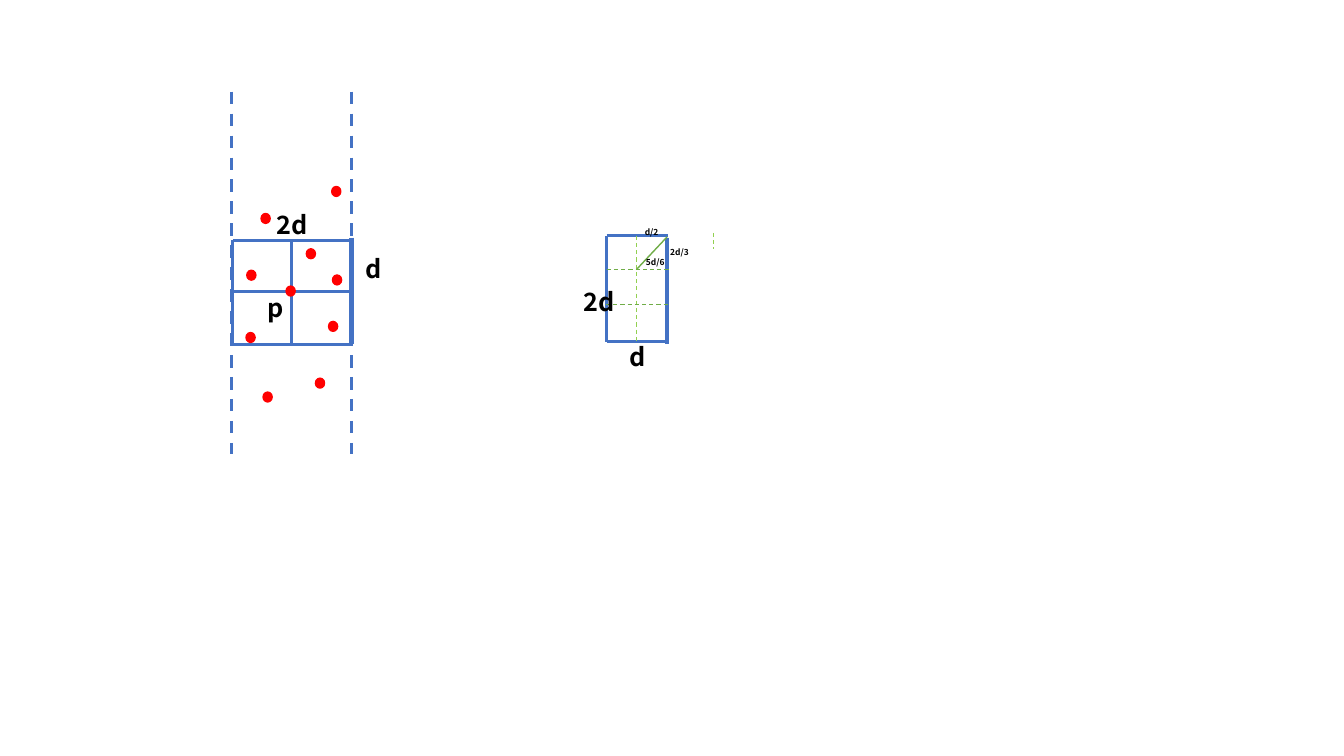
from lxml import etree
from pptx import Presentation
from pptx.dml.color import RGBColor
from pptx.enum.dml import MSO_LINE
from pptx.enum.shapes import MSO_CONNECTOR, MSO_SHAPE
from pptx.enum.text import MSO_AUTO_SIZE
from pptx.oxml.ns import qn
from pptx.util import Cm, Pt

STRAIGHT = MSO_CONNECTOR.STRAIGHT
DOT = MSO_SHAPE.FLOWCHART_CONNECTOR
DASH = MSO_LINE.DASH
GROW = MSO_AUTO_SIZE.SHAPE_TO_FIT_TEXT

BLUE, RED, BLACK = "4472C4", "FF0000", "000000"
LIME, GREEN = "92D050", "70AD47"

STRIP_XS, STRIP_TOP, STRIP_BOTTOM = (5.84, 8.86), 2.31, 11.43
GRID_XS, GRID_YS = (5.87, 7.34), (6.05, 7.34, 8.69)
GRID_RIGHT, HALF_WIDTH = 8.86, 1.52
BOX_LEFT, BOX_MID, BOX_RIGHT = 15.29, 16.05, 16.81
BOX_TOP, BOX_BOTTOM = 5.94, 8.61
RIGHT_TOP, RIGHT_BOTTOM = 5.99, 8.66

DOTS = [
    (7.21, 7.21), (7.72, 6.27), (8.38, 6.93), (6.22, 6.81), (8.28, 8.1),
    (6.2, 8.38), (6.58, 5.38), (8.36, 4.7), (7.95, 9.53), (6.63, 9.88),
]
LABELS = [
    ("d", 15.62, 8.48, 0.76, 1.02, 18, True),
    ("d", 8.97, 6.25, 1.7, 1.02, 18, True),
    ("p", 6.5, 7.24, 0.76, 1.02, 18, True),
    ("d/2", 16, 5.59, 0.86, 0.51, 6, False),
    ("2d/3", 16.64, 6.1, 0.97, 0.51, 6, False),
    ("5d/6", 16.03, 6.35, 0.97, 0.51, 6, True),
    ("2d", 14.45, 7.09, 1.7, 1.02, 18, True),
    ("2d", 6.73, 5.16, 1.7, 1.02, 18, True),
]


def rgb(value):
    """Return the colour for a hex string."""
    return RGBColor.from_string(value)


def apply_format(target, values):
    """Set each attribute in values on target."""
    for name, value in values.items():
        setattr(target, name, value)


def add_line(s, x1, y1, x2, y2, color=BLUE, width=2.25, dash=None):
    """Draw a straight line between two points in centimetres."""
    line = s.shapes.add_connector(STRAIGHT, Cm(x1), Cm(y1), Cm(x2), Cm(y2))
    line.line.color.rgb = rgb(color)
    apply_format(line.line, {"width": Pt(width), "dash_style": dash})
    etree.SubElement(line._element.spPr, qn("a:effectLst"))


def add_dot(s, x, y):
    """Draw one red point."""
    sp = s.shapes.add_shape(DOT, Cm(x), Cm(y), Cm(0.23), Cm(0.25))
    sp.shadow.inherit = False
    sp.fill.solid()
    sp.fill.fore_color.rgb = rgb(RED)
    sp.line.color.rgb = rgb(RED)
    sp.line.width = Pt(1)


def add_label(s, text, x, y, width, height, size, wrap):
    """Write one bold label."""
    tf = s.shapes.add_textbox(Cm(x), Cm(y), Cm(width), Cm(height)).text_frame
    apply_format(tf, {"word_wrap": wrap, "auto_size": GROW})
    r = tf.paragraphs[0].add_run()
    r.text = text
    apply_format(r.font, {"name": "Noto Sans CJK SC", "size": Pt(size), "bold": True})
    r.font.color.rgb = rgb(BLACK)


def add_strip(s):
    """Draw the dashed strip and the divided rectangle within it."""
    for x in STRIP_XS:
        add_line(s, x, STRIP_TOP, x, STRIP_BOTTOM, dash=DASH)
    for x in GRID_XS:
        add_line(s, x, GRID_YS[0], x, GRID_YS[-1])
        for y in GRID_YS:
            add_line(s, x, y, x + HALF_WIDTH, y)
    add_line(s, GRID_RIGHT, RIGHT_TOP, GRID_RIGHT, RIGHT_BOTTOM, width=3)


def add_box(s):
    """Draw the tall box with its dashed cells and diagonal."""
    for y in (BOX_TOP, BOX_BOTTOM):
        add_line(s, BOX_LEFT, y, BOX_RIGHT + 0.03, y)
    add_line(s, BOX_LEFT, BOX_TOP, BOX_LEFT, BOX_BOTTOM)
    add_line(s, BOX_RIGHT, RIGHT_TOP, BOX_RIGHT, RIGHT_BOTTOM)
    for x, top, bottom in ((BOX_MID, BOX_TOP, BOX_BOTTOM), (17.98, 5.87, 6.27)):
        add_line(s, x, top, x, bottom, LIME, 0.75, DASH)
    for x, y in ((BOX_LEFT, 6.78), (15.27, 7.67)):
        add_line(s, x, y, x + 1.6, y, GREEN, 0.75, DASH)
    add_line(s, BOX_RIGHT, 5.97, BOX_MID, 6.78, GREEN, 1)


def main():
    """Build the slide and save it."""
    prs = Presentation()
    apply_format(prs, {"slide_width": Cm(33.87), "slide_height": Cm(19.05)})
    s = prs.slides.add_slide(prs.slide_layouts[6])
    add_strip(s)
    for x, y in DOTS:
        add_dot(s, x, y)
    add_box(s)
    for label in LABELS:
        add_label(s, *label)
    prs.save("out.pptx")


if __name__ == "__main__":
    main()
